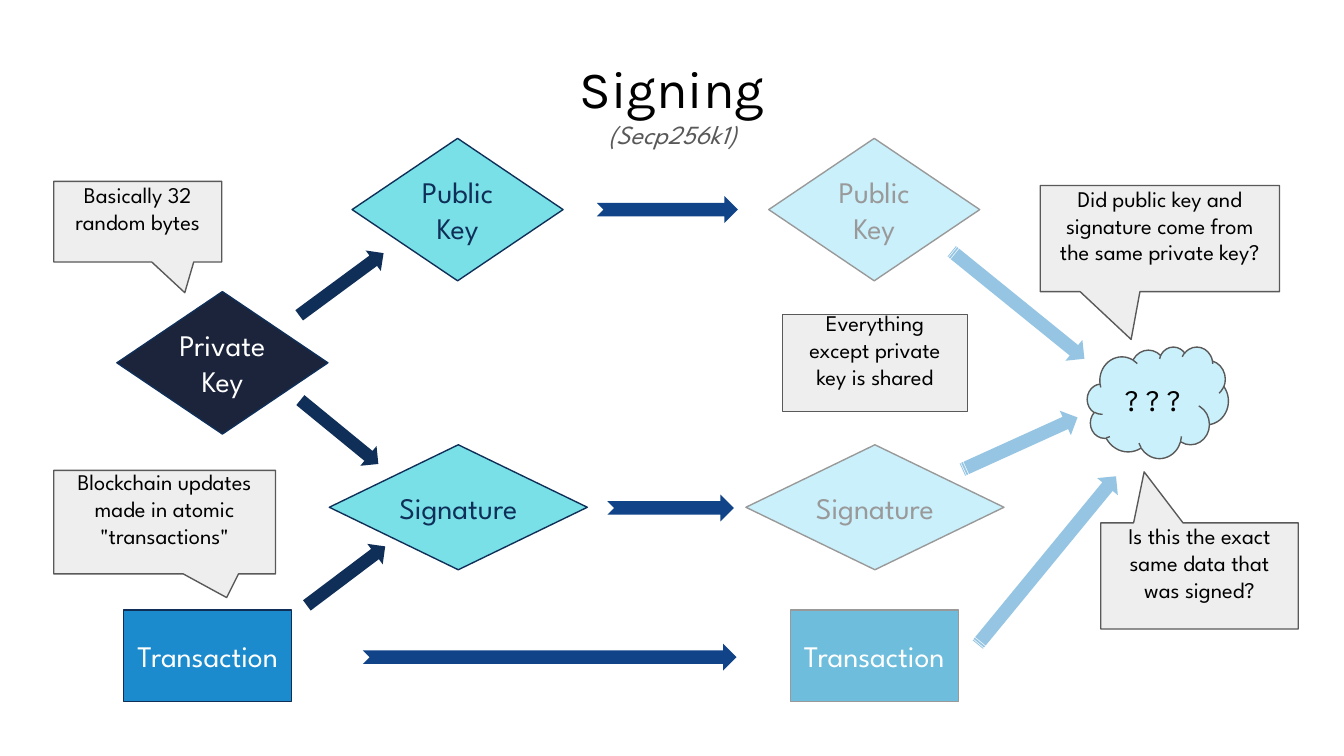
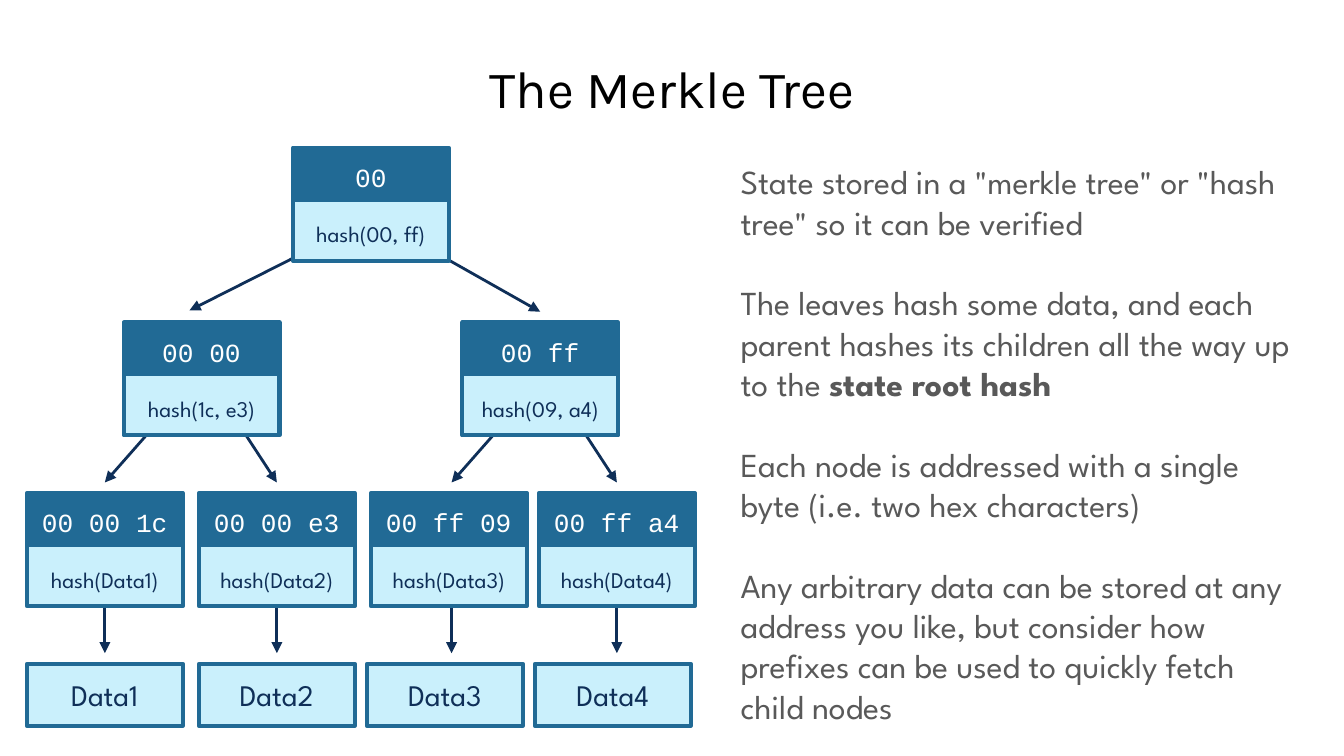
"""Builds two slides: how signing works and how a Merkle tree stores state."""
import lxml.etree
import pptx
import pptx.dml.color
import pptx.enum.shapes
import pptx.enum.text
import pptx.oxml.ns
import pptx.util

SHAPE = pptx.enum.shapes.MSO_SHAPE
ANCHOR = pptx.enum.text.MSO_ANCHOR
ALIGN = pptx.enum.text.PP_ALIGN
qn = pptx.oxml.ns.qn

PX = 9144
SLIDE_WIDTH = 1000
TITLE_BOX = (34, 32, 932, 63)
TITLE_FONT, TEXT_FONT, CODE_FONT = "Karla", "League Spartan", "Courier New"
BLACK, WHITE, GREY, FADED = "000000", "FFFFFF", "595959", "999999"
NAVY, ICE, AQUA, STEEL, NOTE_FILL = "0F2F58", "CAF0FC", "78E0E6", "216A95", "EEEEEE"

SIGNING = "Signing"
CURVE = "(Secp256k1)"
CURVE_BOX = (418, 78, 165, 51)

SIGNING_PARTS = [
    ("Private Key", SHAPE.FLOWCHART_DECISION, (87, 217, 157, 106), "1B243B", NAVY, WHITE),
    ("Public Key", SHAPE.FLOWCHART_DECISION, (262, 103, 157, 106), AQUA, NAVY, NAVY),
    ("Signature", SHAPE.FLOWCHART_DECISION, (245, 331, 192, 93), AQUA, NAVY, NAVY),
    ("? ? ?", SHAPE.CLOUD, (809, 258, 105, 83), ICE, GREY, BLACK),
    ("Public Key", SHAPE.FLOWCHART_DECISION, (572, 103, 157, 106), ICE, FADED, FADED),
    ("Signature", SHAPE.FLOWCHART_DECISION, (555, 331, 192, 93), ICE, FADED, FADED),
    ("Transaction", SHAPE.RECTANGLE, (92, 454, 125, 68), "1B8BCD", NAVY, WHITE),
    ("Transaction", SHAPE.RECTANGLE, (588, 454, 125, 68), "6EBDDC", FADED, WHITE),
]

ARROW_GROUPS = [
    (SHAPE.RIGHT_ARROW, NAVY, None, [
        ((215, 202, 78, 19), 323.6),
        ((215, 312, 75, 19), 39.3),
        ((221, 419, 73, 19), 323),
    ]),
    (SHAPE.NOTCHED_RIGHT_ARROW, "104388", None, [
        ((444, 146, 105, 20), 0),
        ((452, 368, 94, 20), 0),
        ((270, 479, 278, 20), 0),
    ]),
    (SHAPE.STRIPED_RIGHT_ARROW, "2D8DC9", 50, [
        ((694, 217, 127, 20), 39),
        ((712, 320, 94, 20), 335.6),
        ((698, 407, 162, 20), 309.4),
    ]),
]

NOTES = [
    ("Basically 32 random bytes", (40, 135, 125, 60), (0.28, 0.88)),
    ("Did public key and signature come from the same private key?",
     (774, 138, 178, 79), (-0.12, 0.95)),
    ("Is this the exact same data that was signed?", (819, 389, 147, 79), (-0.28, -0.98)),
    ('Blockchain updates made in atomic "transactions"', (40, 350, 165, 77), (0.28, 0.73)),
    ("Everything except private key is shared", (582, 234, 138, 72), None),
]

MERKLE = "The Merkle Tree"
MERKLE_BOX = (541, 110, 432, 431)
MERKLE_TEXT = [
    ['State stored in a "merkle tree" or "hash tree" so it can be verified'],
    ["The leaves hash some data, and each parent hashes its children all the way up to the ",
     "state root hash"],
    ["Each node is addressed with a single byte (i.e. two hex characters)"],
    ["Any arbitrary data can be stored at any address you like, but consider how prefixes "
     "can be used to quickly fetch child nodes"],
]

NODE_WIDTH, NODE_HEIGHT, ADDRESS_HEIGHT, DATA_HEIGHT = 116, 84, 40, 46
LEAF_TOP, DATA_TOP = 367, 494
PARENTS = [
    ("00 00", "hash(1c, e3)", 92, 240),
    ("00 ff", "hash(09, a4)", 344, 240),
    ("00", "hash(00, ff)", 218, 110),
]
LEAVES = [
    ("00 00 1c", "Data1", 20, 20, 78),
    ("00 00 e3", "Data2", 148, 148, 206),
    ("00 ff 09", "Data3", 276, 273, 336),
    ("00 ff a4", "Data4", 401, 398, 459),
]
BRANCHES = [
    (242, 180, 141, 231), (310, 180, 402, 232),
    (122, 309, 78, 359), (172, 307, 206, 359),
    (380, 309, 336, 359), (425, 307, 459, 359),
]


def px(*lengths):
    return [pptx.util.Emu(length * PX) for length in lengths]


def color(value):
    return pptx.dml.color.RGBColor.from_string(value)


def format_runs(paragraph, size, font, ink, align=ALIGN.CENTER):
    paragraph.alignment = align
    for run in paragraph.runs:
        run.font.size = pptx.util.Pt(size)
        run.font.name = font
        run.font.color.rgb = color(ink)


def set_frame(text_frame, insets=(10, 10, 10, 10), anchor=ANCHOR.MIDDLE):
    text_frame.word_wrap = True
    text_frame.auto_size = pptx.enum.text.MSO_AUTO_SIZE.NONE
    text_frame.vertical_anchor = anchor
    (text_frame.margin_left, text_frame.margin_top,
     text_frame.margin_right, text_frame.margin_bottom) = px(*insets)


def add_box(slide, kind, box, fill, outline=None, weight=0.75):
    shape = slide.shapes.add_shape(kind, *px(*box))
    shape.shadow.inherit = False
    shape.fill.solid()
    shape.fill.fore_color.rgb = color(fill)
    if outline:
        shape.line.color.rgb = color(outline)
        shape.line.width = pptx.util.Pt(weight)
    else:
        shape.line.fill.background()
    return shape


def write(shape, text, size, ink, font=TEXT_FONT, **frame):
    set_frame(shape.text_frame, **frame)
    shape.text_frame.text = text
    format_runs(shape.text_frame.paragraphs[0], size, font, ink)


def place(placeholder, box):
    placeholder.left, placeholder.top, placeholder.width, placeholder.height = px(*box)


def add_slide(presentation, title, body_box):
    slide = presentation.slides.add_slide(presentation.slide_layouts[1])
    place(slide.shapes.title, TITLE_BOX)
    write(slide.shapes.title, title, 28, BLACK, TITLE_FONT, anchor=ANCHOR.TOP)
    body = slide.placeholders[1]
    place(body, body_box)
    set_frame(body.text_frame, anchor=ANCHOR.TOP)
    return slide, body.text_frame


def format_body(paragraph, size, align, gap=0):
    format_runs(paragraph, size, TEXT_FONT, GREY, align)
    paragraph.space_before = pptx.util.Pt(0)
    paragraph.space_after = pptx.util.Pt(gap)
    properties = paragraph._p.get_or_add_pPr()
    properties.set("marL", "0")
    properties.set("indent", "0")
    lxml.etree.SubElement(properties, qn("a:buNone"))


def add_block_arrow(slide, kind, box, angle, fill, opacity):
    arrow = add_box(slide, kind, box, fill)
    arrow.rotation = angle
    if opacity:
        fill_color = arrow._element.spPr.find(qn("a:solidFill"))[0]
        lxml.etree.SubElement(fill_color, qn("a:alpha"), val=str(opacity * 1000))


def add_note(slide, text, box, pointer):
    kind = SHAPE.RECTANGULAR_CALLOUT if pointer else SHAPE.RECTANGLE
    note = add_box(slide, kind, box, NOTE_FILL, GREY)
    for index, offset in enumerate(pointer or ()):
        note.adjustments[index] = offset
    write(note, text, 12, BLACK, insets=(10, 0, 10, 20))
    note.text_frame.paragraphs[0].space_before = pptx.util.Pt(10)


def add_tree_arrow(slide, ends):
    straight = pptx.enum.shapes.MSO_CONNECTOR.STRAIGHT
    connector = slide.shapes.add_connector(straight, *px(*ends))
    connector.line.color.rgb = color(NAVY)
    connector.line.width = pptx.util.Pt(1.5)
    properties = connector._element.spPr
    lxml.etree.SubElement(properties.find(qn("a:ln")), qn("a:tailEnd"), type="triangle")
    lxml.etree.SubElement(properties, qn("a:effectLst"))


def add_node(slide, address, hashed, left, top):
    process = SHAPE.FLOWCHART_PROCESS
    node = add_box(slide, process, (left, top, NODE_WIDTH, NODE_HEIGHT), ICE, STEEL, 2.25)
    write(node, hashed, 12, NAVY, anchor=ANCHOR.BOTTOM)
    header = add_box(slide, process, (left, top, NODE_WIDTH, ADDRESS_HEIGHT), STEEL)
    write(header, address, 14, WHITE, CODE_FONT, anchor=ANCHOR.TOP)


def build_signing(presentation):
    slide, body = add_slide(presentation, SIGNING, CURVE_BOX)
    body.text = CURVE
    format_body(body.paragraphs[0], 14, ALIGN.CENTER)
    body.paragraphs[0].runs[0].font.italic = True
    for text, kind, box, fill, outline, ink in SIGNING_PARTS:
        write(add_box(slide, kind, box, fill, outline), text, 16, ink, insets=(0, 0, 0, 0))
    for kind, fill, opacity, arrows in ARROW_GROUPS:
        for box, angle in arrows:
            add_block_arrow(slide, kind, box, angle, fill, opacity)
    for note in NOTES:
        add_note(slide, *note)


def build_merkle(presentation):
    slide, body = add_slide(presentation, MERKLE, MERKLE_BOX)
    for index, (plain, *strong) in enumerate(MERKLE_TEXT):
        paragraph = body.add_paragraph() if index else body.paragraphs[0]
        paragraph.text = plain
        for phrase in strong:
            run = paragraph.add_run()
            run.text = phrase
            run.font.bold = True
        format_body(paragraph, 18, ALIGN.LEFT, gap=21.6)
    for ends in BRANCHES:
        add_tree_arrow(slide, ends)
    for address, data, node_left, data_left, center in LEAVES:
        add_tree_arrow(slide, (center, 443, center, 486))
        data_box = (data_left, DATA_TOP, NODE_WIDTH, DATA_HEIGHT)
        write(add_box(slide, SHAPE.FLOWCHART_PROCESS, data_box, ICE, STEEL, 2.25),
              data, 16, NAVY)
        add_node(slide, address, f"hash({data})", node_left, LEAF_TOP)
    for parent in PARENTS:
        add_node(slide, *parent)


def main():
    presentation = pptx.Presentation()
    presentation.slide_width = pptx.util.Emu(SLIDE_WIDTH * PX)
    presentation.slide_height = pptx.util.Emu(SLIDE_WIDTH * PX * 9 // 16)
    build_signing(presentation)
    build_merkle(presentation)
    presentation.save("out.pptx")


if __name__ == "__main__":
    main()
